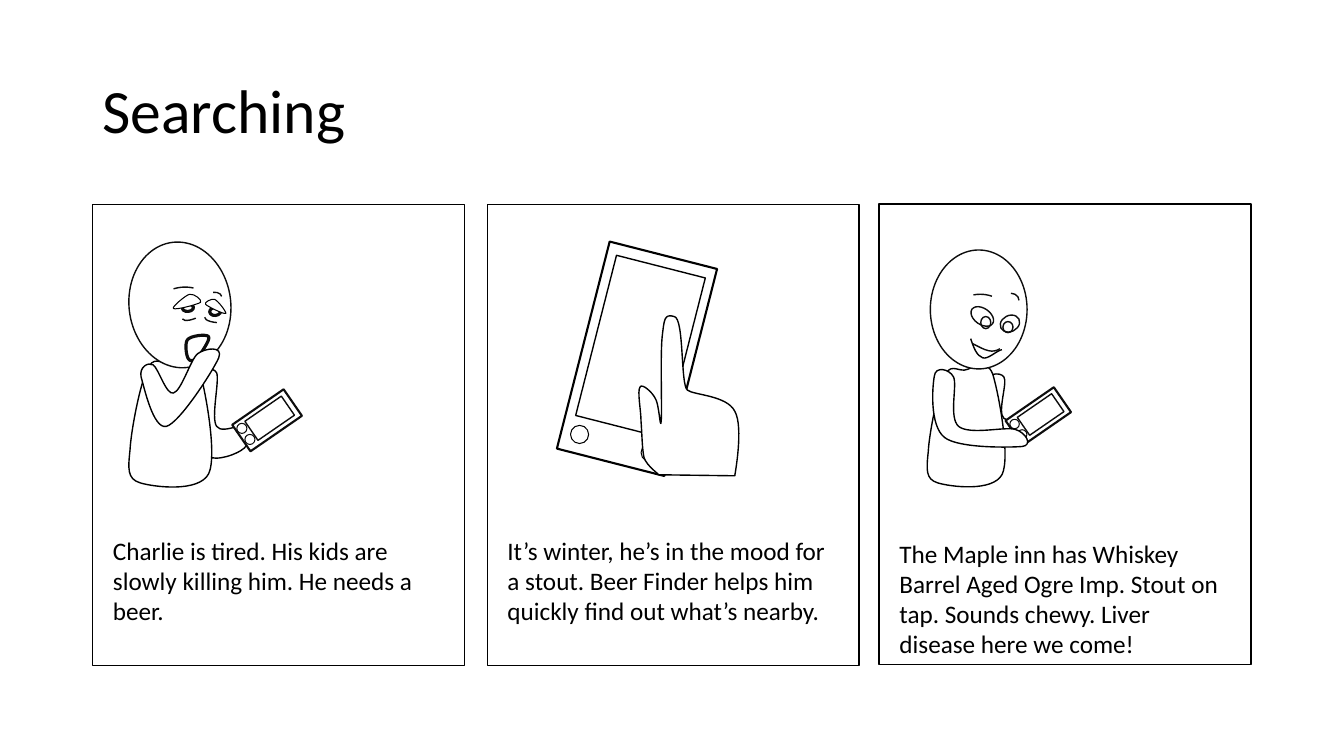
from dataclasses import dataclass, replace
from typing import Optional, Union

from pptx import Presentation
from pptx.dml.color import RGBColor
from pptx.enum.shapes import MSO_SHAPE as Form
from pptx.enum.text import MSO_ANCHOR, MSO_AUTO_SIZE
from pptx.oxml import parse_xml
from pptx.oxml.ns import nsdecls, qn
from pptx.shapes.autoshape import Shape
from pptx.shapes.shapetree import GroupShapes, SlideShapes
from pptx.util import Pt

WHITE = RGBColor(0xFF, 0xFF, 0xFF)
BLACK = RGBColor(0x00, 0x00, 0x00)
INK = RGBColor(0x0D, 0x0D, 0x0D)
FONT = "Calibri"

GRID = 0.72  # points per unit of the sketching grid
PANEL_WIDTH, PANEL_HEIGHT = 265.7, 329
CAPTION_INDENT, CAPTION_WIDTH = 7.4, 249.8


@dataclass(frozen=True)
class Figure:
    """A preset shape in grid units."""
    form: Form
    left: float
    top: float
    width: float
    height: float
    rotation: float = 0
    weight: float = 1
    colour: RGBColor = INK
    filled: bool = True
    angles: Optional[tuple[float, float]] = None

    def placed(self, scale: float, dx: float, dy: float) -> "Figure":
        return replace(self, left=self.left * scale + dx, top=self.top * scale + dy,
                       width=self.width * scale, height=self.height * scale)


@dataclass(frozen=True)
class Curve:
    """Chained cubic curves: a start, then two handles and an end each, in grid units."""
    points: tuple[tuple[float, float], ...]
    weight: float = 1
    colour: RGBColor = BLACK
    filled: bool = True
    closed: bool = True

    def placed(self, scale: float, dx: float, dy: float) -> "Curve":
        return replace(self, points=tuple((x * scale + dx, y * scale + dy)
                                          for x, y in self.points))


Sketch = list[Union[Figure, Curve]]


@dataclass(frozen=True)
class Panel:
    left: float
    top: float
    sketch: Sketch
    caption_top: float
    caption_height: float
    caption: str


TORSO = Curve(((129, 446), (130, 427), (139, 381), (146, 367), (152, 353), (158, 360),
               (167, 360), (175, 359), (190, 346), (197, 364), (203, 383), (216, 451),
               (207, 470), (197, 489), (152, 483), (139, 479), (126, 475), (127, 465),
               (129, 446)))
BROW_ANGLES = (145.489, 189.216)
PHONE: Sketch = [
    Figure(Form.RECTANGLE, 0, 0, 32, 62, 55.4, weight=1.5),
    Figure(Form.RECTANGLE, 7, 7, 23, 44, 55.4),
    Figure(Form.OVAL, -14, 34, 10, 10, weight=0.75),
    Figure(Form.OVAL, -6, 45, 10, 10, weight=0.75),
]


def phone_at(left: float, top: float, scale: float = 1) -> Sketch:
    return [part.placed(scale, left, top) for part in PHONE]


TIRED_CHARLIE: Sketch = [
    Curve(((215, 370), (218, 378), (209, 415), (215, 423), (221, 432), (248, 416),
           (252, 420), (256, 424), (248, 442), (239, 447), (231, 452), (209, 460),
           (201, 449), (194, 438), (193, 393), (195, 380), (198, 366), (212, 363),
           (215, 370))),
    TORSO,
    *phone_at(249, 386),
    Figure(Form.OVAL, 128, 240, 101, 125, -6.5),
    Figure(Form.ARC, 157, 285, 48, 29, -6.5, filled=False, angles=BROW_ANGLES),
    Figure(Form.OVAL, 181, 302, 11, 7, -6.5, weight=2.25),
    Figure(Form.OVAL, 208, 305, 11, 8, -6.5, weight=2.25),
    Figure(Form.ARC, 204, 290, 16, 10, -6.5, filled=False),
    Curve(((172, 306), (174, 308), (196, 302), (199, 300), (201, 298), (193, 291),
           (188, 292), (184, 293), (170, 305), (172, 306)), weight=0.75),
    Curve(((224, 311), (222, 312), (206, 304), (204, 302), (202, 300), (210, 296),
           (213, 297), (217, 299), (225, 310), (224, 311)), weight=0.75),
    Curve(((187, 356), (185, 354), (183, 341), (186, 337), (189, 333), (205, 331),
           (207, 334), (209, 337), (199, 351), (196, 355), (193, 358), (188, 359),
           (187, 356)), weight=2.25, colour=INK, filled=False),
    Curve(((152, 362), (147, 359), (138, 364), (140, 374), (143, 384), (152, 426),
           (165, 423), (178, 420), (212, 367), (217, 355), (222, 343), (204, 345),
           (196, 351), (189, 357), (180, 388), (172, 390), (165, 392), (157, 365),
           (152, 362))),
    Figure(Form.ARC, 180, 307, 25, 9, 157, filled=False),
    Figure(Form.ARC, 203, 311, 25, 9, 183.4, filled=False),
]

TAPPING_FINGER: Sketch = [
    Figure(Form.RECTANGLE, 577, 250, 110, 212, 14.3, weight=1.5, colour=BLACK),
    Figure(Form.RECTANGLE, 590, 262, 91, 164, 14.3, colour=BLACK),
    Figure(Form.OVAL, 566, 422, 18, 18, weight=0.75, colour=BLACK),
    Figure(Form.OVAL, 636, 440, 18, 18, weight=0.75, colour=BLACK),
    Curve(((653, 471), (655, 471), (642, 463), (639, 454), (637, 445), (637, 430),
           (636, 418), (636, 407), (632, 388), (635, 384), (637, 380), (647, 389),
           (650, 395), (654, 400), (655, 428), (656, 418), (657, 408), (655, 352),
           (657, 334), (659, 317), (659, 311), (669, 314), (679, 316), (675, 382),
           (682, 387), (688, 392), (721, 392), (729, 408), (738, 424), (729, 471),
           (729, 472), (729, 472), (651, 471), (653, 471))),
]

HAPPY_CHARLIE: Sketch = [
    Curve(((996, 374), (1000, 379), (989, 409), (996, 415), (1003, 422), (1034, 410),
           (1038, 413), (1043, 416), (1034, 430), (1024, 433), (1014, 437), (989, 444),
           (981, 435), (972, 426), (971, 391), (974, 381), (977, 371), (992, 368),
           (996, 374))),
    TORSO.placed(0.94, 799.7, 28.8),
    *phone_at(1015, 384, 0.94),
    Curve(((946, 374), (942, 366), (928, 363), (927, 373), (925, 383), (922, 422),
           (937, 434), (951, 445), (1002, 444), (1014, 443), (1025, 442), (1018, 429),
           (1007, 426), (997, 423), (962, 432), (951, 423), (941, 414), (950, 382),
           (946, 374))),
    Figure(Form.OVAL, 923, 248, 96, 118),
    Figure(Form.ARC, 950, 292, 45, 27, filled=False, angles=BROW_ANGLES),
    Figure(Form.OVAL, 973, 314, 10, 12),
    Figure(Form.OVAL, 995, 319, 10, 11),
    Figure(Form.OVAL, 962, 306, 25, 16, 35, filled=False),
    Figure(Form.OVAL, 992, 313, 20, 16, -26, filled=False),
    Curve(((963, 336), (966, 345), (969, 353), (975, 355), (980, 357), (990, 347),
           (994, 347)), closed=False),
    Figure(Form.ARC, 995, 291, 16, 14, filled=False),
    Curve(((965, 341), (971, 344), (976, 347), (981, 348), (985, 349), (989, 348),
           (992, 346)), colour=INK, filled=False, closed=False),
]

PANELS = [
    Panel(66.2, 146.2, TIRED_CHARLIE, 378.7, 72.7,
          "Charlie is tired. His kids are slowly killing him. He needs a beer."),
    Panel(348, 146.2, TAPPING_FINGER, 378.7, 72.7,
          "It’s winter, he’s in the mood for a stout. Beer Finder helps him "
          "quickly find out what’s nearby."),
    Panel(628, 145.7, HAPPY_CHARLIE, 380.7, 94.3,
          "The Maple inn has Whiskey Barrel Aged Ogre Imp. Stout on tap. "
          "Sounds chewy. Liver disease here we come!"),
]


def paint(shape: Shape, weight: float, colour: RGBColor, filled: bool) -> None:
    shape.shadow.inherit = False
    if filled:
        shape.fill.solid()
        shape.fill.fore_color.rgb = WHITE
    else:
        shape.fill.background()
    shape.line.color.rgb = colour
    shape.line.width = Pt(weight)


def add_curve(shapes: GroupShapes, curve: Curve) -> Shape:
    """Build a freeform through the curve's ends, then bend each side with its handles."""
    points = [(Pt(x * GRID), Pt(y * GRID)) for x, y in curve.points]
    builder = shapes.build_freeform(*points[0])
    builder.add_line_segments(points[3::3], close=curve.closed)
    shape = builder.convert_to_shape()
    left, top = (min(axis) for axis in zip(*points[::3]))
    for index, side in enumerate(list(shape.element.iter(qn("a:lnTo")))):
        bend = "".join(f'<a:pt x="{x - left}" y="{y - top}"/>'
                       for x, y in points[3 * index + 1:3 * index + 4])
        side.getparent().replace(
            side, parse_xml(f'<a:cubicBezTo {nsdecls("a")}>{bend}</a:cubicBezTo>'))
    return shape


def add_figure(shapes: GroupShapes, figure: Figure) -> Shape:
    bounds = (figure.left, figure.top, figure.width, figure.height)
    shape = shapes.add_shape(figure.form, *(Pt(length * GRID) for length in bounds))
    shape.rotation = figure.rotation
    for index, angle in enumerate(figure.angles or ()):
        shape.adjustments[index] = angle
    return shape


def add_text(shapes: SlideShapes, text: str, left: float, top: float, width: float,
             height: float, size: float) -> Shape:
    box = shapes.add_textbox(Pt(left), Pt(top), Pt(width), Pt(height))
    box.text_frame.word_wrap = True
    box.text_frame.text = text
    font = box.text_frame.paragraphs[0].runs[0].font
    font.name, font.size, font.color.rgb = FONT, Pt(size), BLACK
    return box


def draw_panel(shapes: SlideShapes, panel: Panel) -> None:
    frame = shapes.add_shape(Form.RECTANGLE, Pt(panel.left), Pt(panel.top),
                             Pt(PANEL_WIDTH), Pt(PANEL_HEIGHT))
    paint(frame, 1, BLACK, True)
    drawing = shapes.add_group_shape().shapes
    for part in panel.sketch:
        add = add_curve if isinstance(part, Curve) else add_figure
        paint(add(drawing, part), part.weight, part.colour, part.filled)
    caption = add_text(shapes, panel.caption, panel.left + CAPTION_INDENT,
                       panel.caption_top, CAPTION_WIDTH, panel.caption_height, 18)
    caption.text_frame.auto_size = MSO_AUTO_SIZE.SHAPE_TO_FIT_TEXT


def main() -> None:
    deck = Presentation()
    deck.slide_width, deck.slide_height = Pt(960), Pt(540)
    shapes = deck.slides.add_slide(deck.slide_layouts[6]).shapes
    title = add_text(shapes, "Searching", 66.2, 28.8, 828, 104.4, 44)
    title.text_frame.vertical_anchor = MSO_ANCHOR.MIDDLE
    title.text_frame.paragraphs[0].line_spacing = 0.9
    for panel in PANELS:
        draw_panel(shapes, panel)
    deck.save("out.pptx")


if __name__ == "__main__":
    main()
